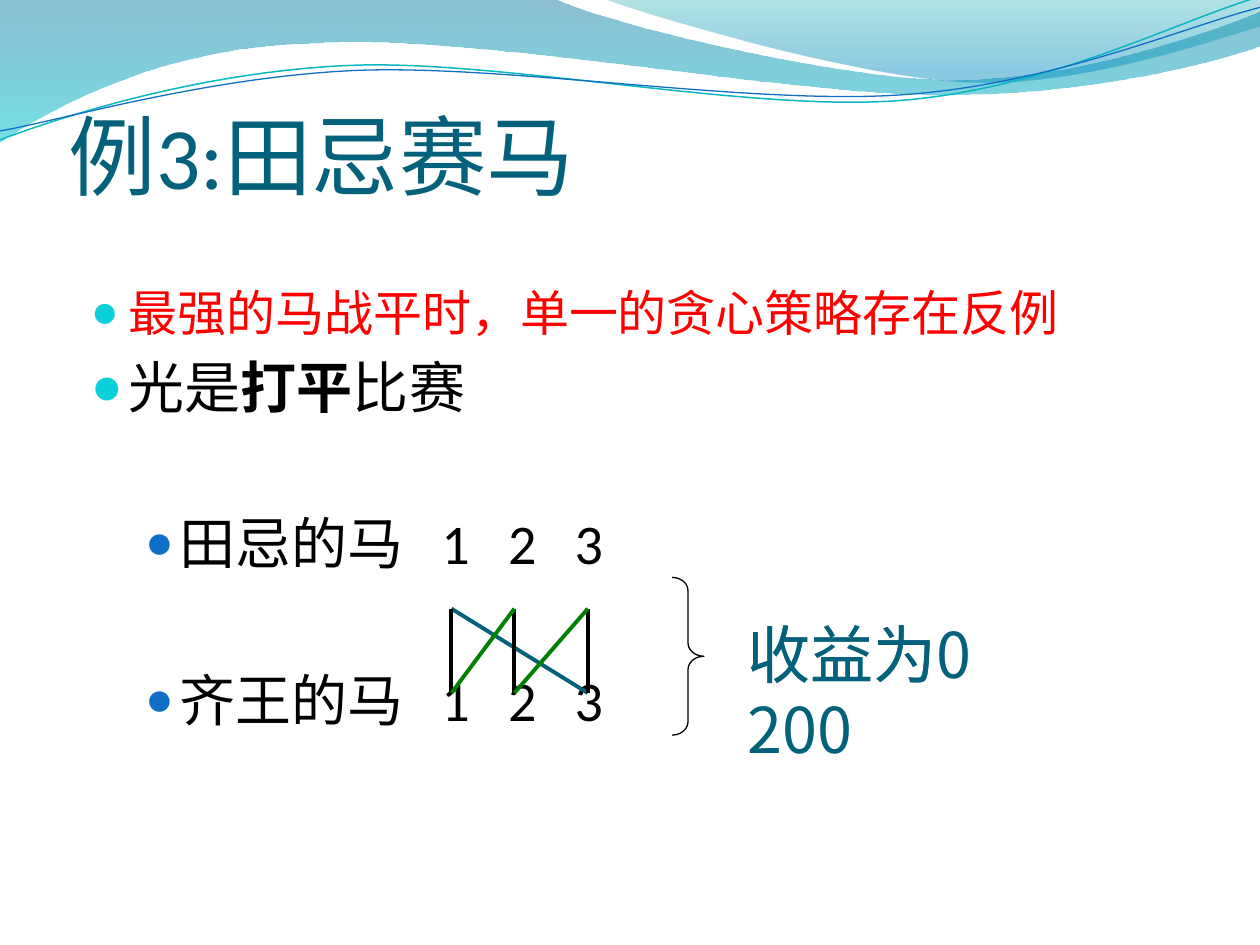
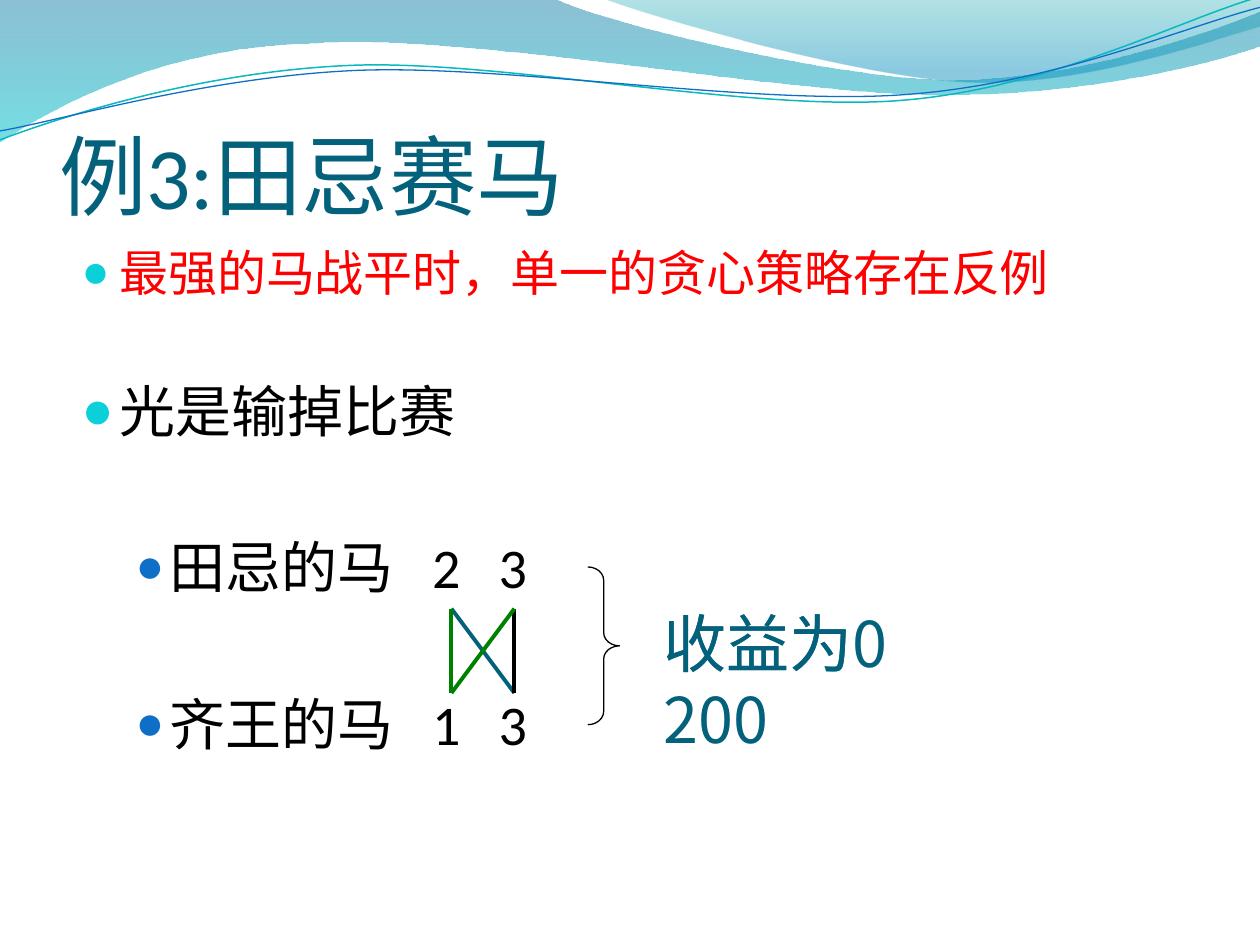
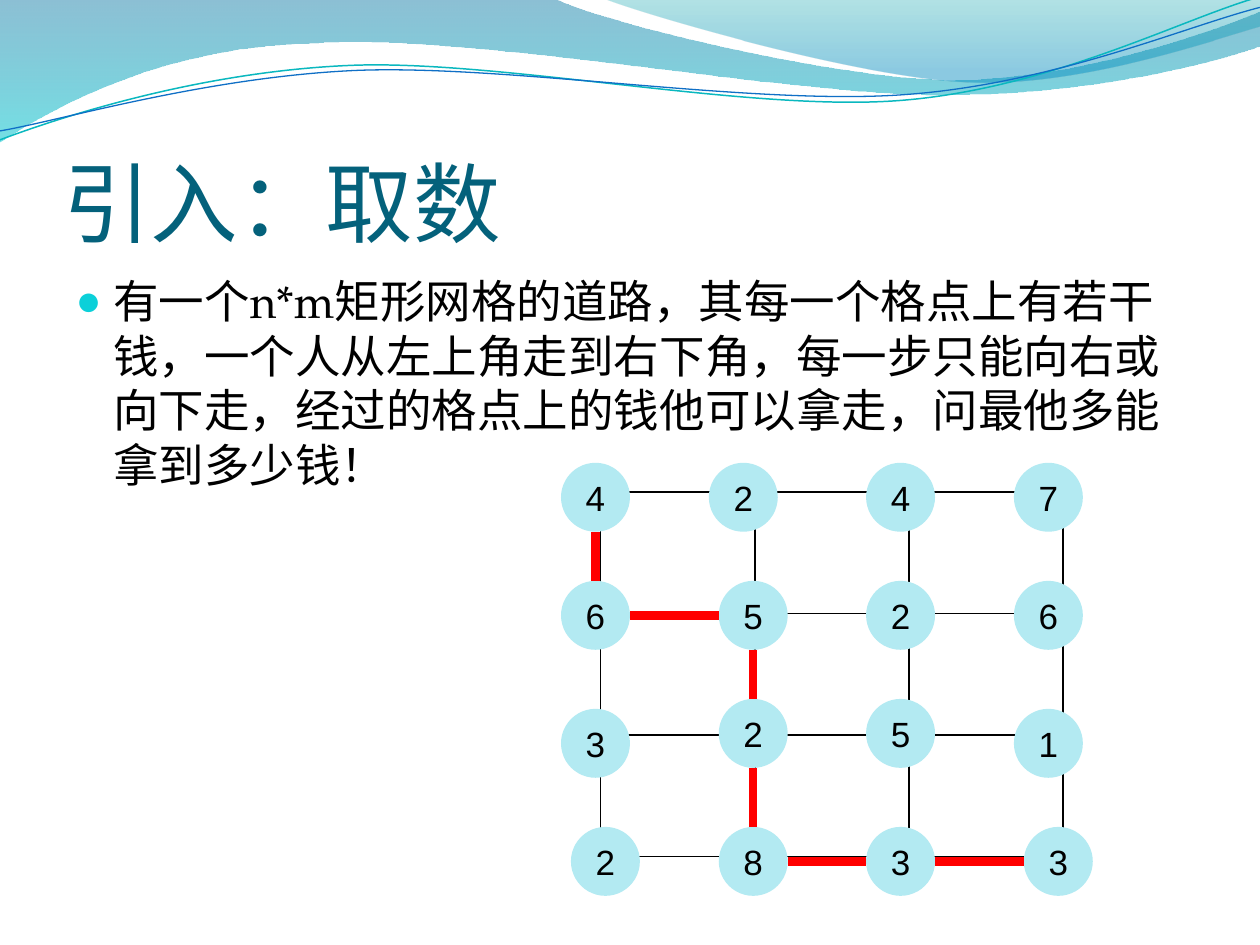
from dataclasses import dataclass
from typing import NamedTuple

from lxml.etree import SubElement
from pptx import Presentation
from pptx.dml.color import RGBColor
from pptx.enum.lang import MSO_LANGUAGE_ID
from pptx.enum.shapes import MSO_CONNECTOR, MSO_SHAPE
from pptx.enum.text import MSO_ANCHOR, MSO_AUTO_SIZE, PP_ALIGN
from pptx.oxml.ns import qn
from pptx.util import Cm, Pt

# Shared colours, fonts and text rhythm
BLACK = RGBColor(0x00, 0x00, 0x00)
RED = RGBColor(0xFF, 0x00, 0x00)
GREEN = RGBColor(0x00, 0x80, 0x00)
DEEP_TEAL = RGBColor(0x04, 0x61, 0x7B)
PALE_CYAN = RGBColor(0xB3, 0xEA, 0xF2)
CYAN = RGBColor(0x0B, 0xD0, 0xD9)
BLUE = RGBColor(0x0F, 0x6F, 0xC6)
WAVE_TEAL = RGBColor(0x0A, 0xB8, 0xBF)
BAND_BLUE = RGBColor(0x00, 0x74, 0xA1)
BAND_CYAN = RGBColor(0x00, 0xC6, 0xCF)
SWEEP_TEAL = RGBColor(0x00, 0xA1, 0xA9)
SWEEP_BLUE = RGBColor(0x00, 0x8B, 0xBF)

MAIN_FONT = "Calibri"
PLAIN_FONT = "Arial"
SERIF_FONT = "TeX Gyre Pagella"
RESULT_FONT = "Noto Sans CJK SC"
LINE_PITCH = 1.2
PARAGRAPH_GAP = 0.2
DIGIT_GAP = 14.5


class Point(NamedTuple):
    x: float
    y: float


class Stop(NamedTuple):
    color: RGBColor
    position: float
    alpha: int


@dataclass
class Wave:
    start: tuple
    segments: list  # one point: straight, three points: Bezier curve
    stops: tuple = ()
    color: RGBColor = BLACK
    width: float = 0


@dataclass
class Piece:
    text: str
    bold: bool = False
    spacing: float = 0


@dataclass
class Item:
    pieces: list
    level: int = 0
    size: float = 32
    font: str = MAIN_FONT
    color: RGBColor = BLACK
    skipped: float = 0  # size of the line left free above


@dataclass
class Link:
    start: tuple
    end: tuple
    color: RGBColor
    width: float = 2.25


@dataclass
class Bullet:
    margin: float
    hang: float
    color: RGBColor
    percent: int


BULLETS = (Bullet(0.76, 0.76, CYAN, 95), Bullet(1.78, 0.69, BLUE, 85))

WAVES = (
    Wave((0, 0), [
        [(11.18, -0.03)],
        [(12.09, 0.43), (16.87, 1.6), (19.25, 1.6)],
        [(21.67, 1.6), (24.33, 0.66), (25.4, 0.23)],
        [(25.43, 0.91)],
        [(24.97, 1.12), (22.1, 1.93), (18.95, 1.91)],
        [(15.8, 1.91), (9.7, 0.71), (6.53, 0.86)],
        [(3.28, 0.91), (1.17, 2.11), (-0.03, 2.87)],
    ], stops=(Stop(BAND_BLUE, 0, 45), Stop(BAND_CYAN, 1, 55))),
    Wave((12.17, -0.03), [
        [(12.93, 0.28), (17.32, 1.57), (19.53, 1.65)],
        [(21.74, 1.75), (24.41, 0.81), (25.4, 0.53)],
        [(25.4, 0)],
    ], stops=(Stop(SWEEP_TEAL, 0, 30), Stop(SWEEP_BLUE, 0.8, 45))),
    Wave((0, 2.82), [
        [(1.22, 2.36), (4.01, 1.45), (7.04, 1.32)],
        [(10.03, 1.19), (15.06, 2.26), (18.11, 2.03)],
        [(21.16, 1.8), (23.83, 0.38), (25.35, -0.05)],
    ], color=WAVE_TEAL, width=0.85),
    Wave((0, 2.64), [
        [(1.19, 2.44), (4.17, 1.55), (7.19, 1.42)],
        [(10.24, 1.3), (15.16, 2.13), (18.21, 1.91)],
        [(21.23, 1.7), (23.9, 0.53), (25.4, 0.15)],
    ], color=BLUE, width=0.75),
)

# Horse race: lanes and rows joined by the match lines
LANE_1, LANE_2, LANE_3 = 9.1, 10.37, 11.85
OURS, THEIRS = 12.27, 13.97

# Money grid
MONEY = ((4, 2, 4, 7), (6, 5, 2, 6), (3, 2, 5, 1), (2, 8, 3, 3))
NODE_COLUMNS = (11.31, 14.49, 17.46, 20.44)
NODE_ROWS = (9.33, 11.71, 14.09, 16.67)
NODE_SIZE = 1.39
NODE_SHIFTS = {
    (0, 1): (-0.2, 0), (2, 0): (0, 0.2), (2, 3): (0, 0.2),
    (3, 0): (0.2, 0), (3, 3): (0.2, 0),
}
BEST_ROUTE = ((0, 0), (1, 0), (1, 1), (2, 1), (3, 1), (3, 2), (3, 3))


def bend(shape, segments: list) -> None:
    """Turn each three straight steps of a curved segment into one curve."""
    steps = iter(list(shape.element.iter(qn("a:lnTo"))))
    for segment in segments:
        parts = [next(steps) for _ in segment]
        if len(parts) == 1:
            continue
        outline = parts[0].getparent()
        curve = SubElement(outline, qn("a:cubicBezTo"))
        parts[0].addprevious(curve)
        for part in parts:
            curve.append(part[0])
            outline.remove(part)


def add_wave(slide, wave: Wave):
    corners = [wave.start, *(point for part in wave.segments for point in part)]
    first, *rest = [(Cm(x), Cm(y)) for x, y in corners]
    builder = slide.shapes.build_freeform(*first)
    builder.add_line_segments(rest, close=bool(wave.stops))
    shape = builder.convert_to_shape()
    bend(shape, wave.segments)
    shape.shadow.inherit = False
    if not wave.stops:
        shape.fill.background()
        shape.line.color.rgb = wave.color
        shape.line.width = Pt(wave.width)
        return shape
    shape.line.fill.background()
    shape.fill.gradient()
    shape.fill.gradient_angle = 270
    for target, stop in zip(shape.fill.gradient_stops, wave.stops):
        target.color.rgb = stop.color
        target.position = stop.position
    for color, stop in zip(shape.element.iter(qn("a:srgbClr")), wave.stops):
        SubElement(color, qn("a:alpha"), val=str(stop.alpha * 1000))
    return shape


def add_run(paragraph, text: str, font: str, size: float, color: RGBColor,
            bold: bool = False, spacing: float = 0) -> None:
    run = paragraph.add_run()
    run.text = text
    run.font.name = font
    run.font.size = Pt(size)
    run.font.bold = bold
    run.font.color.rgb = color
    run.font.language_id = MSO_LANGUAGE_ID.SIMPLIFIED_CHINESE
    if spacing:
        run._r.get_or_add_rPr().set("spc", str(round(spacing * 100)))


def place(shape, left: float, top: float, width: float, height: float) -> None:
    shape.left, shape.top = Cm(left), Cm(top)
    shape.width, shape.height = Cm(width), Cm(height)


def set_title(slide, text: str, left: float, top: float) -> None:
    title = slide.shapes.title
    place(title, left, top, 22.86, 3.18)
    frame = title.text_frame
    frame.auto_size = MSO_AUTO_SIZE.NONE
    frame.vertical_anchor = MSO_ANCHOR.BOTTOM
    frame.margin_left = frame.margin_right = frame.margin_bottom = 0
    frame.margin_top = Cm(0.13)
    paragraph = frame.paragraphs[0]
    paragraph.alignment = PP_ALIGN.LEFT
    add_run(paragraph, text, MAIN_FONT, 50, DEEP_TEAL)


def add_bullet(paragraph, bullet: Bullet) -> None:
    properties = paragraph._p.get_or_add_pPr()
    properties.set("marL", str(Cm(bullet.margin)))
    properties.set("indent", str(-Cm(bullet.hang)))
    color = SubElement(properties, qn("a:buClr"))
    SubElement(color, qn("a:srgbClr"), val=str(bullet.color))
    SubElement(properties, qn("a:buSzPct"), val=str(bullet.percent * 1000))
    SubElement(properties, qn("a:buFont"), typeface=PLAIN_FONT)
    SubElement(properties, qn("a:buChar"), char="●")


def set_list(slide, items: list, left: float, top: float) -> None:
    body = slide.placeholders[1]
    place(body, left, top, 22.86, 12.19)
    frame = body.text_frame
    frame.auto_size = MSO_AUTO_SIZE.NONE
    for index, item in enumerate(items):
        paragraph = frame.add_paragraph() if index else frame.paragraphs[0]
        paragraph.level = item.level
        paragraph.alignment = PP_ALIGN.LEFT
        paragraph.line_spacing = Pt(item.size * LINE_PITCH)
        paragraph.space_before = Pt(
            item.size * PARAGRAPH_GAP
            + item.skipped * (LINE_PITCH + PARAGRAPH_GAP))
        add_bullet(paragraph, BULLETS[item.level])
        for piece in item.pieces:
            add_run(paragraph, piece.text, item.font, item.size, item.color,
                    piece.bold, piece.spacing)


def add_link(slide, link: Link) -> None:
    ends = [Cm(value) for value in (*link.start, *link.end)]
    connector = slide.shapes.add_connector(MSO_CONNECTOR.STRAIGHT, *ends)
    connector.line.color.rgb = link.color
    connector.line.width = Pt(link.width)
    SubElement(connector.element.spPr, qn("a:effectLst"))


def add_results(slide, left: float, top: float) -> None:
    """Draw the brace and, right of it, the two overlaid outcomes."""
    brace = slide.shapes.add_shape(
        MSO_SHAPE.RIGHT_BRACE, Cm(left), Cm(top), Cm(0.64), Cm(3.18))
    brace.adjustments[0] = 0.417
    brace.shadow.inherit = False
    brace.fill.background()
    brace.line.color.rgb = BLACK
    brace.line.width = Pt(0.75)
    for text, width in (("收益为0", 5.92), ("收益为200", 6.15)):
        result = slide.shapes.add_textbox(
            Cm(left + 1.27), Cm(top + 0.64), Cm(width), Cm(1.78))
        result.text_frame.word_wrap = True
        paragraph = result.text_frame.paragraphs[0]
        paragraph.line_spacing = Pt(36 * LINE_PITCH)
        paragraph.space_before = Pt(18)
        add_run(paragraph, text, RESULT_FONT, 36, DEEP_TEAL)


def horses(owner: str, numbers: str) -> Item:
    pieces = [Piece(owner)]
    for number in numbers:
        pieces += [Piece(" ", spacing=DIGIT_GAP), Piece(number)]
    return Item(pieces, level=1, skipped=32)


def warning() -> Item:
    return Item([Piece("最强的马战平时，单一的贪心策略存在反例")],
                size=28, font=PLAIN_FONT, color=RED)


def build_draw_slide(slide) -> None:
    set_title(slide, "例3:田忌赛马", 1.39, 0.99)
    set_list(slide, [
        warning(),
        Item([Piece("光是"), Piece("打平", bold=True), Piece("比赛")]),
        horses("田忌的马", "123"),
        horses("齐王的马", "123"),
    ], 1.58, 5.56)
    for link in (
        Link((LANE_1, OURS), (LANE_3, THEIRS), DEEP_TEAL),
        Link((LANE_1, OURS), (LANE_1, THEIRS), BLACK),
        Link((LANE_3, OURS), (LANE_3, THEIRS), BLACK, 2),
        Link((LANE_2, OURS), (LANE_2, THEIRS), BLACK),
        Link((LANE_3, OURS), (LANE_2, THEIRS), GREEN),
        Link((LANE_2, OURS), (LANE_1, THEIRS), GREEN),
    ):
        add_link(slide, link)
    add_results(slide, 13.55, 11.64)


def build_loss_slide(slide) -> None:
    set_title(slide, "例3:田忌赛马", 1.19, 1.39)
    set_list(slide, [
        warning(),
        Item([Piece("光是输掉比赛")], skipped=26),
        horses("田忌的马", "23"),
        horses("齐王的马", "13"),
    ], 1.39, 4.76)
    for link in (
        Link((LANE_1, OURS), (LANE_2, THEIRS), DEEP_TEAL),
        Link((LANE_1, OURS), (LANE_1, THEIRS), GREEN),
        Link((LANE_2, OURS), (LANE_2, THEIRS), BLACK),
        Link((LANE_2, OURS), (LANE_1, THEIRS), GREEN),
    ):
        add_link(slide, link)
    add_results(slide, 11.85, 11.43)


def add_roads(slide) -> None:
    roads = slide.shapes.add_table(
        3, 3, Cm(12.11), Cm(9.92), Cm(9.32), Cm(7.35)).table
    roads.first_row = roads.horz_banding = False
    for cell in roads.iter_cells():
        properties = cell._tc.get_or_add_tcPr()
        for side in ("L", "R", "T", "B"):
            border = SubElement(properties, qn(f"a:ln{side}"), w=str(Pt(1)))
            fill = SubElement(border, qn("a:solidFill"))
            SubElement(fill, qn("a:srgbClr"), val=str(BLACK))
        cell.fill.background()


def node_corner(row: int, column: int) -> Point:
    shift_x, shift_y = NODE_SHIFTS.get((row, column), (0, 0))
    return Point(NODE_COLUMNS[column] + shift_x, NODE_ROWS[row] + shift_y)


def add_node(slide, amount: int, corner: Point) -> None:
    node = slide.shapes.add_shape(
        MSO_SHAPE.OVAL, Cm(corner.x), Cm(corner.y), Cm(NODE_SIZE), Cm(NODE_SIZE))
    node.shadow.inherit = False
    node.fill.solid()
    node.fill.fore_color.rgb = PALE_CYAN
    node.line.fill.background()
    frame = node.text_frame
    frame.word_wrap = False
    frame.vertical_anchor = MSO_ANCHOR.MIDDLE
    paragraph = frame.paragraphs[0]
    paragraph.alignment = PP_ALIGN.CENTER
    add_run(paragraph, str(amount), PLAIN_FONT, 20, BLACK)


def add_step(slide, origin: tuple, target: tuple) -> None:
    """Join two neighbouring nodes from edge to edge."""
    start, end = node_corner(*origin), node_corner(*target)
    half = NODE_SIZE / 2
    if origin[0] == target[0]:
        y = start.y + half
        ends = (start.x + NODE_SIZE, y), (end.x, y)
    else:
        x = end.x + half
        ends = (x, start.y + NODE_SIZE), (x, end.y)
    add_link(slide, Link(*ends, RED, 4.75))


def build_grid_slide(slide) -> None:
    set_title(slide, "引入：取数", 1.27, 1.95)
    set_list(slide, [Item([Piece(
        "有一个n*m矩形网格的道路，其每一个格点上有若干钱，"
        "一个人从左上角走到右下角，每一步只能向右或向下走，"
        "经过的格点上的钱他可以拿走，问最他多能拿到多少钱！")],
        size=26, font=SERIF_FONT)], 1.27, 5.38)
    add_roads(slide)
    for row, amounts in enumerate(MONEY):
        for column, amount in enumerate(amounts):
            add_node(slide, amount, node_corner(row, column))
    for origin, target in zip(BEST_ROUTE, BEST_ROUTE[1:]):
        add_step(slide, origin, target)


def main() -> None:
    deck = Presentation()
    deck.slide_width, deck.slide_height = Cm(25.4), Cm(19.05)
    builders = (build_draw_slide, build_loss_slide, build_grid_slide)
    slides = [deck.slides.add_slide(deck.slide_layouts[1]) for _ in builders]

    # The waves belong to the master, so every slide shows them
    master_tree = deck.slide_master.element.cSld.spTree
    for wave in WAVES:
        master_tree.append(add_wave(slides[0], wave).element)

    for build, slide in zip(builders, slides):
        build(slide)
    deck.save("out.pptx")


if __name__ == "__main__":
    main()
